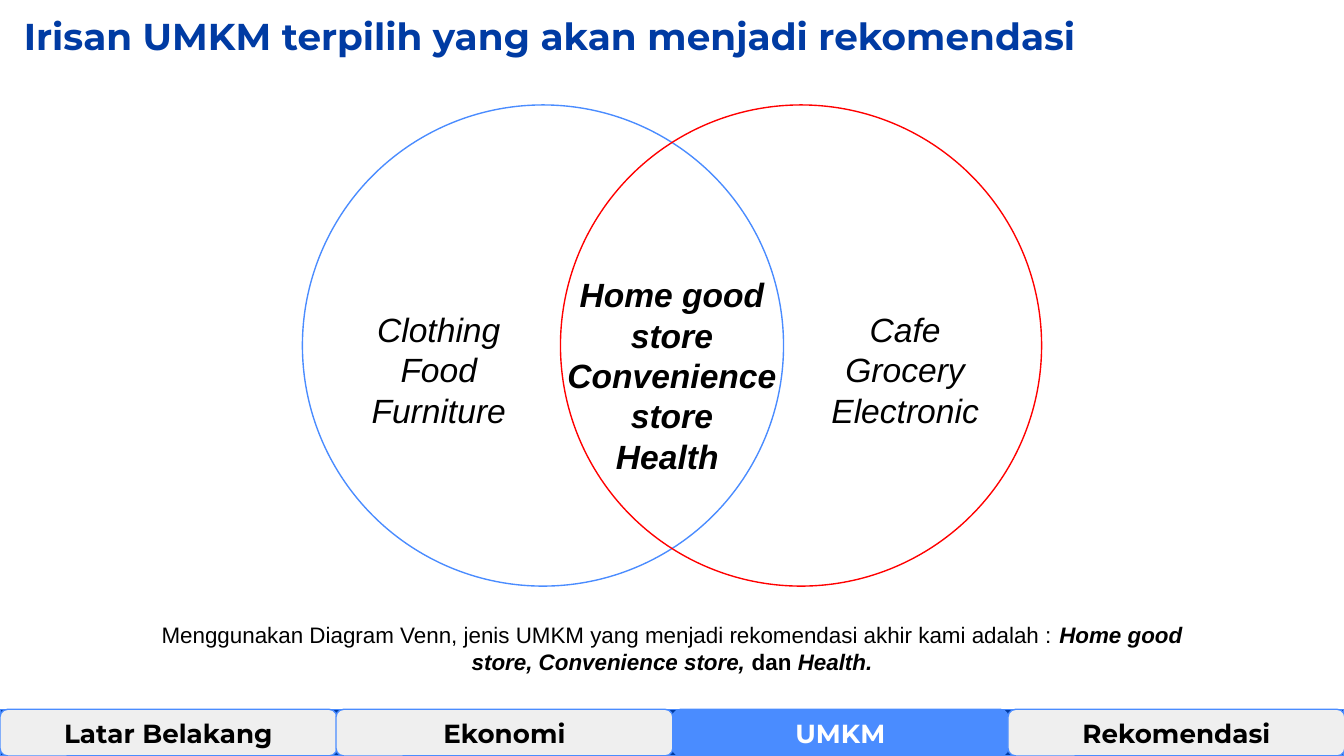
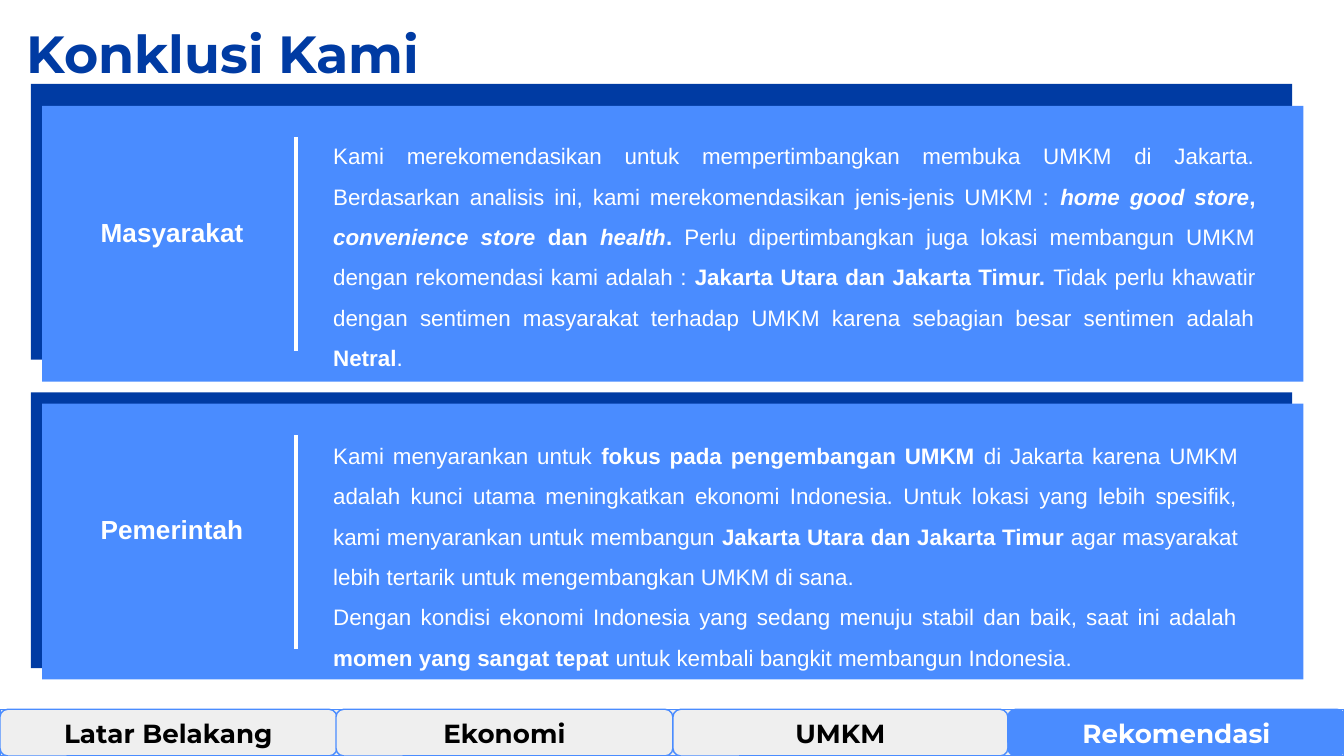
"""Build two slides on recommended UMKM types: a Venn diagram and the conclusions."""
from pptx import Presentation
from pptx.dml.color import RGBColor
from pptx.enum import shapes, text
from pptx.util import Pt

NAVY, BLUE, GREY, RED = "003BA3", "4A8CFF", "EFEFEF", "FF0000"
BLACK, WHITE = "000000", "FFFFFF"
KIND, ALIGN = shapes.MSO_SHAPE, text.PP_ALIGN
TABS = [("Latar Belakang", 0, 180.5), ("Ekonomi", 180, 180.5),
        ("UMKM", 360.5, 179.5), ("Rekomendasi", 540, 180.5)]


def draw(page, kind, left, top, width, height, fill=None, line=None):
    shape = page.shapes.add_shape(kind, Pt(left), Pt(top), Pt(width), Pt(height))
    shape.shadow.inherit = False
    if fill:
        shape.fill.solid()
        shape.fill.fore_color.rgb = RGBColor.from_string(fill)
    else:
        shape.fill.background()
    if line:
        shape.line.color.rgb = RGBColor.from_string(line)
        shape.line.width = Pt(0.75)
    else:
        shape.line.fill.background()
    return shape


def write(box, paragraphs, size, color, align=ALIGN.CENTER, font="Arial", spacing=None,
          anchor=text.MSO_ANCHOR.TOP):
    frame = box.text_frame
    inset = Pt(7.2)
    layout = {"word_wrap": True, "vertical_anchor": anchor, "margin_left": inset,
              "margin_right": inset, "margin_top": inset, "margin_bottom": inset}
    for name, value in layout.items():
        setattr(frame, name, value)
    for index, runs in enumerate(paragraphs):
        para = frame.add_paragraph() if index else frame.paragraphs[0]
        para.alignment = align
        if spacing:
            para.line_spacing = spacing
        for words, style in runs:
            span = para.add_run()
            span.text = words
            look = {"name": font, "size": Pt(size), "bold": "b" in style, "italic": "i" in style}
            for name, value in look.items():
                setattr(span.font, name, value)
            span.font.color.rgb = RGBColor.from_string(color)


deck = Presentation()
deck.slide_width, deck.slide_height = Pt(720), Pt(405)
venn, conclusion = [deck.slides.add_slide(deck.slide_layouts[6]) for _ in range(2)]

for left, color in [(162, BLUE), (300.25, RED)]:
    draw(venn, KIND.OVAL, left, 56.25, 257.75, 257.75, line=color)

labels = [
    (187.2, 158.4, 95.75, 80, "i", ["Clothing", "Food", "Furniture"]),
    (432, 158.4, 105.75, 80, "i", ["Cafe", "Grocery", "Electronic"]),
    (293.75, 139.7, 132.5, 124, "bi", ["Home good store", "Convenience store", "Health "]),
]
for left, top, width, height, style, lines in labels:
    box = venn.shapes.add_textbox(Pt(left), Pt(top), Pt(width), Pt(height))
    write(box, [[(line, style)] for line in lines], 18, BLACK)

summary = [("Menggunakan Diagram Venn, jenis UMKM yang menjadi rekomendasi akhir kami adalah : ", ""),
           ("Home good store, Convenience store, ", "bi"), ("dan ", "b"), ("Health.", "bi")]
box = venn.shapes.add_textbox(Pt(76.3), Pt(325.4), Pt(567.4), Pt(44))
write(box, [summary], 12, BLACK)

public_advice = [[
    ("Kami merekomendasikan untuk mempertimbangkan membuka UMKM di Jakarta. Berdasarkan "
     "analisis ini, kami merekomendasikan jenis-jenis UMKM : ", ""),
    ("home good store", "bi"), (", ", "b"), ("convenience store", "bi"), (" dan ", "b"),
    ("health", "bi"), (". ", "b"),
    ("Perlu dipertimbangkan juga lokasi membangun UMKM dengan rekomendasi kami adalah : ", ""),
    ("Jakarta Utara dan Jakarta Timur. ", "b"),
    ("Tidak perlu khawatir dengan sentimen masyarakat terhadap UMKM karena sebagian besar "
     "sentimen adalah ", ""),
    ("Netral", "b"), (". ", ""),
]]
government_advice = [
    [("Kami menyarankan untuk ", ""), ("fokus pada pengembangan UMKM", "b"),
     (" di Jakarta karena UMKM adalah kunci utama meningkatkan ekonomi Indonesia. Untuk lokasi "
      "yang lebih spesifik, kami menyarankan untuk membangun ", ""),
     ("Jakarta Utara dan Jakarta Timur", "b"),
     (" agar masyarakat lebih tertarik untuk mengembangkan UMKM di sana. ", "")],
    [("Dengan kondisi ekonomi Indonesia yang sedang menuju stabil dan baik, saat ini adalah ", ""),
     ("momen yang sangat tepat", "b"),
     (" untuk kembali bangkit membangun Indonesia. ", "")],
]
panels = [("Masyarakat", 56.75, 45, 61.9, 508.3, public_advice),
          ("Pemerintah", 216.25, 210.25, 222.5, 499, government_advice)]
for audience, top, back_top, advice_top, advice_width, advice in panels:
    draw(conclusion, KIND.RECTANGLE, 16.5, back_top, 675.75, 147.75, NAVY)
    draw(conclusion, KIND.RECTANGLE, 22.5, top, 675.75, 147.75, BLUE)
    box = conclusion.shapes.add_textbox(Pt(171.4), Pt(advice_top), Pt(advice_width), Pt(138.2))
    write(box, advice, 12, WHITE, ALIGN.JUSTIFY, spacing=1.5)
    box = conclusion.shapes.add_textbox(Pt(38.2), Pt(top + 51.75), Pt(108), Pt(31.7))
    write(box, [[(audience, "b")]], 14, WHITE)
    draw(conclusion, KIND.RECTANGLE, 157, top + 16.5, 2.9, 115.2, WHITE, BLUE)

pages = [(venn, "Irisan UMKM terpilih yang akan menjadi rekomendasi", 5.75, 0, 20, "UMKM", NAVY),
         (conclusion, "Konklusi Kami", 7.2, 4.3, 28, "Rekomendasi", GREY)]
for page, title, left, top, size, active, bar in pages:
    box = page.shapes.add_textbox(Pt(left), Pt(top), Pt(685.4), Pt(45.4))
    write(box, [[(title, "b")]], size, NAVY, ALIGN.LEFT, "Montserrat")
    draw(page, KIND.RECTANGLE, 0, 380, 720, 25, bar, BLUE)
    for name, tab_left, width in TABS:
        fill, color = (BLUE, WHITE) if name == active else (GREY, BLACK)
        tab = draw(page, KIND.ROUNDED_RECTANGLE, tab_left, 380, width, 25, fill, BLUE)
        write(tab, [[(name, "b")]], 14, color, font="Montserrat", anchor=text.MSO_ANCHOR.MIDDLE)

deck.save("out.pptx")
